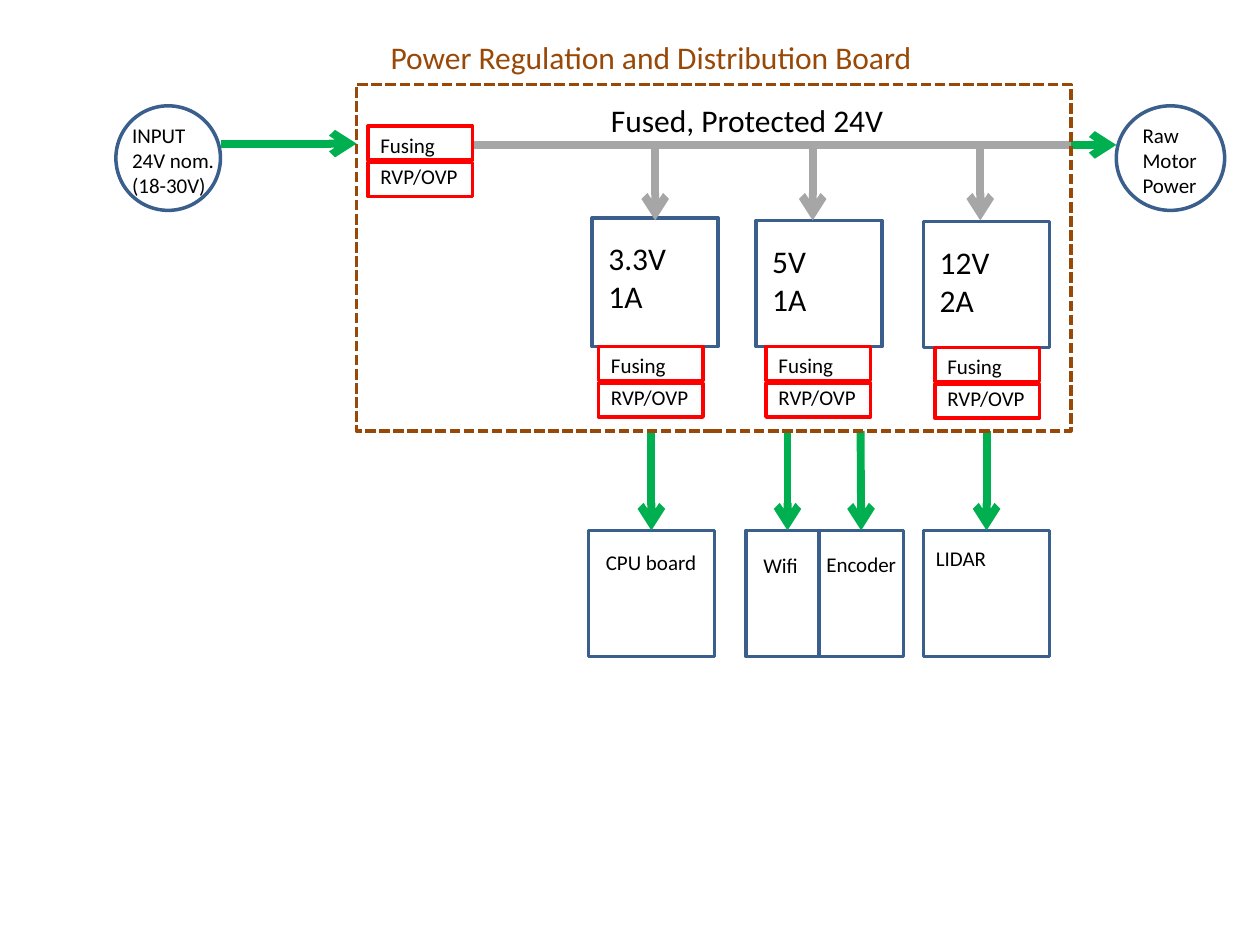
from dataclasses import dataclass

from lxml.etree import SubElement
from pptx import Presentation
from pptx.dml.color import RGBColor
from pptx.enum.dml import MSO_LINE_DASH_STYLE as Dash
from pptx.enum.shapes import MSO_CONNECTOR as Connector, MSO_SHAPE as Shape
from pptx.enum.text import MSO_ANCHOR as Anchor, MSO_AUTO_SIZE as AutoSize, PP_ALIGN as Align
from pptx.oxml.ns import qn
from pptx.util import Inches, Pt


@dataclass(frozen=True)
class Theme:
    font: str = "Calibri"
    large: int = 18
    small: int = 12
    outline: float = 2
    wire: float = 4.5
    text: str = "000000"
    block: str = "3A5F8C"
    fuse: str = "FF0000"
    bus: str = "A6A6A6"
    output: str = "00B050"
    board: str = "984807"


class Diagram:
    def __init__(self, slide, theme):
        self.slide = slide
        self.theme = theme

    def set_text(self, frame, lines, size, color):
        frame.text = "\n".join(lines)
        frame.word_wrap = True
        frame.auto_size = AutoSize.NONE
        frame.vertical_anchor = Anchor.TOP
        for paragraph in frame.paragraphs:
            paragraph.alignment = Align.LEFT
            paragraph.font.name = self.theme.font
            paragraph.font.size = Pt(size)
            paragraph.font.color.rgb = RGBColor.from_string(color)

    def title(self, text, left, top, width, height):
        title = self.slide.shapes.title
        title.left, title.top = Inches(left), Inches(top)
        title.width, title.height = Inches(width), Inches(height)
        self.set_text(title.text_frame, [text], self.theme.large, self.theme.board)

    def label(self, lines, left, top, width, height, size=None):
        box = self.slide.shapes.add_textbox(
            Inches(left), Inches(top), Inches(width), Inches(height))
        self.set_text(box.text_frame, lines, size or self.theme.small, self.theme.text)

    def outline(self, left, top, width, height, color=None, kind=Shape.RECTANGLE, dash=None):
        shape = self.slide.shapes.add_shape(
            kind, Inches(left), Inches(top), Inches(width), Inches(height))
        shape.shadow.inherit = False
        shape.fill.background()
        shape.line.color.rgb = RGBColor.from_string(color or self.theme.block)
        shape.line.width = Pt(self.theme.outline)
        if dash:
            shape.line.dash_style = dash
        return shape

    def wire(self, start, end, color, arrow=True, target=None):
        bent = start[0] != end[0] and start[1] != end[1]
        connector = self.slide.shapes.add_connector(
            Connector.ELBOW if bent else Connector.STRAIGHT,
            *(Inches(value) for value in (*start, *end)))
        connector.line.color.rgb = RGBColor.from_string(color)
        connector.line.width = Pt(self.theme.wire)
        properties = connector._element.spPr
        if bent:
            properties.find(qn("a:prstGeom")).set("prst", "bentConnector2")
        if arrow:
            SubElement(properties.find(qn("a:ln")), qn("a:tailEnd"), type="arrow")
        SubElement(properties, qn("a:effectLst"))
        if target is not None:
            connector.end_connect(target, 0)

    def fuse(self, left, top):
        for text, text_offset, box_offset in (("Fusing", 0, 0), ("RVP/OVP", 0.25, 0.29)):
            self.outline(left, top + box_offset, 0.83, 0.27, self.theme.fuse)
            self.label([text], left, top + text_offset, 1.08, 0.5)


def main():
    presentation = Presentation()
    presentation.slide_width, presentation.slide_height = Inches(10), Inches(7.5)
    slide = presentation.slides.add_slide(presentation.slide_layouts[5])
    theme = Theme()
    diagram = Diagram(slide, theme)

    bus_y, board_right, board_bottom, load_top = 1.15, 8.5, 3.42, 4.21

    diagram.title("Power Regulation and Distribution Board", 3, 0.25, 5.33, 0.4)

    diagram.outline(0.92, 0.84, 0.83, 0.83, kind=Shape.OVAL)
    diagram.label(["INPUT", "24V nom.", "(18-30V)"], 0.95, 0.92, 0.96, 0.71)
    diagram.outline(8.86, 0.84, 0.86, 0.83, kind=Shape.OVAL)
    diagram.label(["Raw", "Motor", "Power"], 8.97, 0.92, 0.83, 0.91)

    regulators = (
        ("3.3V", "1A", 4.7, 1.73, 1.02, 3.75),
        ("5V", "1A", 6, 1.75, 1, 5),
        ("12V", "2A", 7.33, 1.76, 1, 6.33),
    )
    for volts, amps, left, top, height, tap in regulators:
        diagram.outline(left, top, 1, height)
        diagram.label([volts, amps], left + 0.03, top + 0.12, 0.67, 0.72, theme.large)
        diagram.wire((tap, bus_y), (tap + 1.45, 1.75), theme.bus)

    diagram.wire((board_right, bus_y), (8.86, bus_y), theme.output)
    diagram.label(["Fused, Protected 24V"], 4.75, 0.75, 3.08, 0.4, theme.large)
    diagram.wire((1.75, 1.14), (2.83, 1.14), theme.output)

    loads = (
        ("CPU board", 4.67, 1, 4.71, 4.31, 5.17, True),
        ("Wifi", 5.92, 0.58, 5.96, 4.34, 6.25, False),
        ("Encoder", 6.5, 0.67, 6.46, 4.33, 6.83, True),
        ("LIDAR", 7.33, 1, 7.33, 4.28, 7.83, True),
    )
    for name, left, width, text_left, text_top, feed, centred in loads:
        load = diagram.outline(left, load_top, width, 1)
        diagram.label([name], text_left, text_top, 0.96, 0.5)
        diagram.wire((feed, board_bottom), (feed, load_top), theme.output,
                     target=load if centred else None)

    for left, top in ((2.92, 1), (4.75, 2.75), (6.08, 2.75), (7.42, 2.76)):
        diagram.fuse(left, top)

    diagram.wire((4.48, bus_y), (board_right, bus_y), theme.bus, arrow=False)
    diagram.outline(2.83, 0.67, 5.67, 2.75, theme.board, dash=Dash.SQUARE_DOT)

    presentation.save("out.pptx")


if __name__ == "__main__":
    main()
